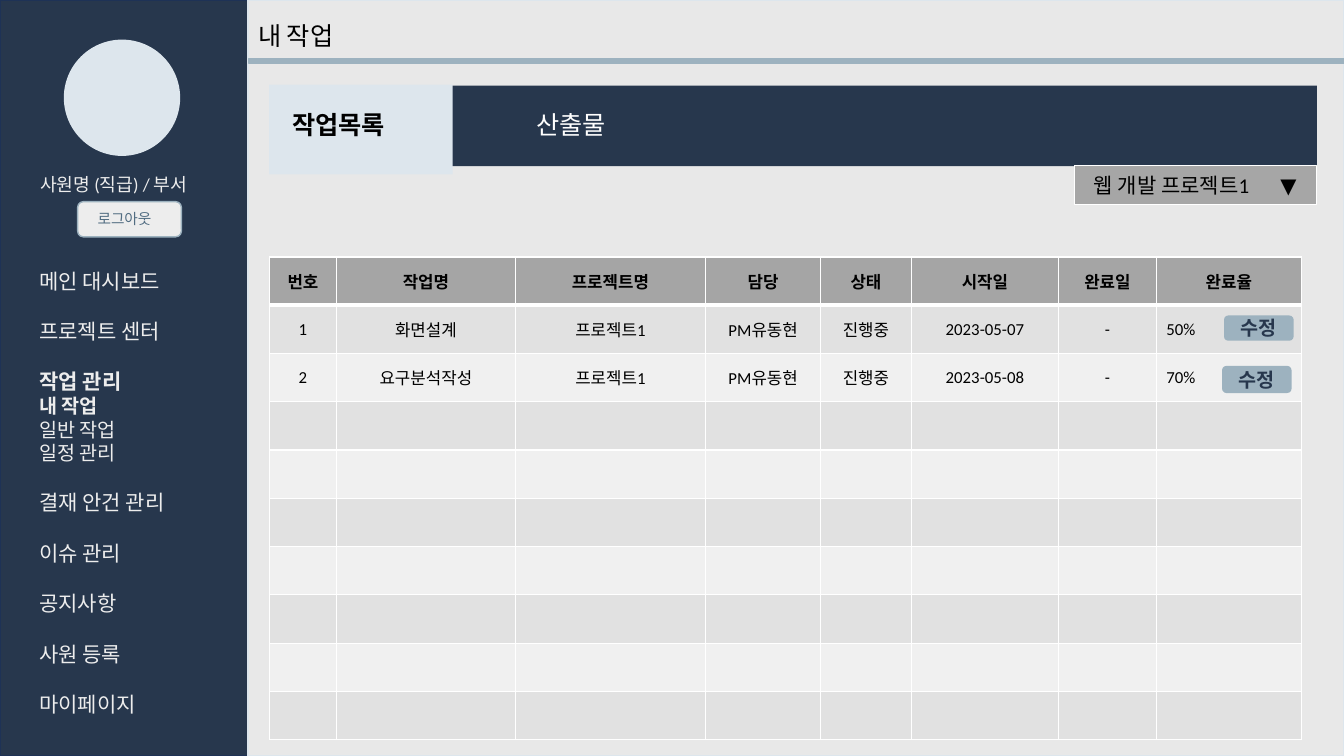
import pptx
import pptx.dml.color
import pptx.enum.shapes
import pptx.enum.text
import pptx.oxml
import pptx.oxml.ns
import pptx.util

Inches, Pt = pptx.util.Inches, pptx.util.Pt
SHAPE = pptx.enum.shapes.MSO_SHAPE
ALIGN = pptx.enum.text.PP_ALIGN
ANCHOR = pptx.enum.text.MSO_ANCHOR

NAVY, STEEL, PALE = "27374D", "9DB2BF", "DDE6ED"
LIGHT, BLACK, WHITE = "EDEDED", "000000", "FFFFFF"
LATIN, KOREAN = "Calibri", "Noto Sans CJK KR"

# (label, size, bold, starts a new menu group)
MENU = [
    ("메인 대시보드", 15, False, False),
    ("프로젝트 센터", 15, False, True),
    ("작업 관리", 15, True, True),
    ("내 작업", 14, True, False),
    ("일반 작업", 14, False, False),
    ("일정 관리", 14, False, False),
    ("결재 안건 관리", 15, False, True),
    ("이슈 관리", 15, False, True),
    ("공지사항", 15, False, True),
    ("사원 등록", 15, False, True),
    ("마이페이지", 15, False, True),
]
TASKS = [
    ["번호", "작업명", "프로젝트명", "담당", "상태", "시작일", "완료일", "완료율"],
    ["1", "화면설계", "프로젝트1", "PM유동현", "진행중", "2023-05-07", "-", "50%"],
    ["2", "요구분석작성", "프로젝트1", "PM유동현", "진행중", "2023-05-08", "-", "70%"],
]
COLUMN_WIDTHS = [0.67, 1.77, 1.89, 1.14, 0.9, 1.46, 0.97, 1.44]
ROW_COUNT, ROW_HEIGHT = 10, 0.479


def color(value):
    """Turn a hex string into a colour."""
    return pptx.dml.color.RGBColor.from_string(value)


def add_run(paragraph, text, size, ink, font=LATIN, bold=False):
    """Append one formatted run to a paragraph."""
    run = paragraph.add_run()
    run.text = text
    run.font.size, run.font.name, run.font.bold = Pt(size), font, bold
    run.font.color.rgb = color(ink)


def add_panel(slide, kind, box, fill, line=None):
    """Add a flat preset shape, with a 1 pt outline if a line colour is given."""
    panel = slide.shapes.add_shape(kind, *map(Inches, box))
    panel.shadow.inherit = False
    panel.fill.solid()
    panel.fill.fore_color.rgb = color(fill)
    if line:
        panel.line.color.rgb = color(line)
        panel.line.width = Pt(1)
    else:
        panel.line.fill.background()
    return panel


def add_label(slide, box, text, size, ink, font=LATIN, bold=False):
    """Add a left-aligned text box with one line."""
    frame = slide.shapes.add_textbox(*map(Inches, box)).text_frame
    frame.word_wrap = True
    add_run(frame.paragraphs[0], text, size, ink, font, bold)


def place(placeholder, box):
    """Move a placeholder to its box, in front of the panels drawn so far."""
    placeholder.left, placeholder.top, placeholder.width, placeholder.height = map(Inches, box)
    placeholder.element.getparent().append(placeholder.element)
    frame = placeholder.text_frame
    frame.auto_size = pptx.enum.text.MSO_AUTO_SIZE.NONE
    frame.vertical_anchor = ANCHOR.TOP
    return frame


def add_title(slide):
    """Fill the title placeholder with the page name."""
    heading = place(slide.shapes.title, (2.46, 0.15, 4.04, 0.4)).paragraphs[0]
    heading.alignment = ALIGN.LEFT
    add_run(heading, "내 작업", 18, BLACK)


def add_menu(slide):
    """Fill the body placeholder with the navigation menu, without bullets."""
    frame = place(slide.placeholders[1], (0.29, 2.61, 2.08, 4.64))
    for index, (label, size, bold, new_group) in enumerate(MENU):
        item = frame.add_paragraph() if index else frame.paragraphs[0]
        item.space_before = Pt(18 if new_group else 0)
        properties = item._p.get_or_add_pPr()
        properties.set("marL", "0")
        properties.set("indent", "0")
        properties.append(pptx.oxml.parse_xml(
            "<a:buNone %s/>" % pptx.oxml.ns.nsdecls("a")))
        add_run(item, label, size, LIGHT, bold=bold)


def set_borders(cell, row):
    """Draw white cell borders, thicker between the header and the tasks."""
    properties = cell._tc.get_or_add_tcPr()
    for side in "LRTB":
        thick = (row, side) in ((0, "B"), (1, "T"))
        properties.append(pptx.oxml.parse_xml(
            '<a:ln%s %s w="%d"><a:solidFill><a:srgbClr val="%s"/></a:solidFill></a:ln%s>'
            % (side, pptx.oxml.ns.nsdecls("a"), Pt(3 if thick else 1), WHITE, side)))


def add_task_table(slide):
    """Add the banded task table with its unused rows."""
    table = slide.shapes.add_table(
        ROW_COUNT, len(COLUMN_WIDTHS), Inches(2.67), Inches(2.55),
        Inches(sum(COLUMN_WIDTHS)), Inches(ROW_COUNT * ROW_HEIGHT)).table
    for column, width in zip(table.columns, COLUMN_WIDTHS):
        column.width = Inches(width)
    for row in range(ROW_COUNT):
        fill = "A5A5A5" if row == 0 else ("F0F0F0", "E1E1E1")[row % 2]
        for column in range(len(COLUMN_WIDTHS)):
            cell = table.cell(row, column)
            set_borders(cell, row)
            cell.fill.solid()
            cell.fill.fore_color.rgb = color(fill)
            cell.vertical_anchor = ANCHOR.MIDDLE
            if row < len(TASKS):
                entry = cell.text_frame.paragraphs[0]
                is_rate = row > 0 and column == len(COLUMN_WIDTHS) - 1
                entry.alignment = ALIGN.LEFT if is_rate else ALIGN.CENTER
                add_run(entry, TASKS[row][column], 12, BLACK, bold=row == 0)


def add_edit_button(slide, box):
    """Add a rounded edit button over a completion-rate cell."""
    button = add_panel(slide, SHAPE.ROUNDED_RECTANGLE, box, STEEL)
    frame = button.text_frame
    frame.margin_top = frame.margin_bottom = 0
    frame.vertical_anchor = ANCHOR.MIDDLE
    frame.paragraphs[0].alignment = ALIGN.CENTER
    add_run(frame.paragraphs[0], "수정", 14, NAVY, KOREAN, True)


def add_project_picker(slide):
    """Add the project drop-down with its arrow."""
    picker = add_panel(slide, SHAPE.RECTANGLE, (10.66, 1.64, 2.4, 0.39), "A6A6A6", WHITE)
    frame = picker.text_frame
    frame.margin_left = Inches(0.19)
    frame.vertical_anchor = ANCHOR.MIDDLE
    frame.paragraphs[0].alignment = ALIGN.LEFT
    add_run(frame.paragraphs[0], "웹 개발 프로젝트1", 15, BLACK)
    add_label(slide, (12.6, 1.66, 0.42, 0.35), "▼", 15, BLACK)


def add_profile(slide):
    """Add the avatar, the user line and the logout button."""
    add_panel(slide, SHAPE.OVAL, (0.64, 0.4, 1.14, 1.14), PALE, PALE)
    add_label(slide, (0.3, 1.67, 1.96, 0.32), "사원명 (직급) / 부서", 13, LIGHT)
    add_panel(slide, SHAPE.ROUNDED_RECTANGLE, (0.77, 2, 1.03, 0.35), LIGHT, STEEL)
    add_label(slide, (0.87, 2.03, 0.91, 0.29), "로그아웃", 10.5, "526D82", KOREAN)


def add_tabs(slide):
    """Add the tab bar with the active tab on the left."""
    add_panel(slide, SHAPE.RECTANGLE, (2.67, 0.85, 10.39, 0.8), NAVY)
    add_panel(slide, SHAPE.RECTANGLE, (2.67, 0.84, 1.82, 0.89), PALE)
    add_label(slide, (2.8, 1.04, 1.6, 0.4), "작업목록", 18, BLACK, KOREAN, True)
    add_label(slide, (5.22, 1.04, 1.6, 0.4), "산출물", 18, WHITE, KOREAN)


def main():
    """Build the task page and save it."""
    deck = pptx.Presentation()
    deck.slide_width, deck.slide_height = Inches(13.33), Inches(7.5)
    slide = deck.slides.add_slide(deck.slide_layouts[1])
    add_panel(slide, SHAPE.RECTANGLE, (0, 0, 13.33, 7.5), NAVY, "1E3256")
    add_panel(slide, SHAPE.RECTANGLE, (2.46, 0, 10.87, 7.5), "E8E8E8", PALE)
    add_menu(slide)
    add_profile(slide)
    add_task_table(slide)
    add_title(slide)
    add_panel(slide, SHAPE.RECTANGLE, (2.47, 0.58, 10.86, 0.05), STEEL, STEEL)
    add_tabs(slide)
    add_project_picker(slide)
    add_edit_button(slide, (12.14, 3.13, 0.69, 0.25))
    add_edit_button(slide, (12.12, 3.63, 0.69, 0.27))
    deck.save("out.pptx")


main()
